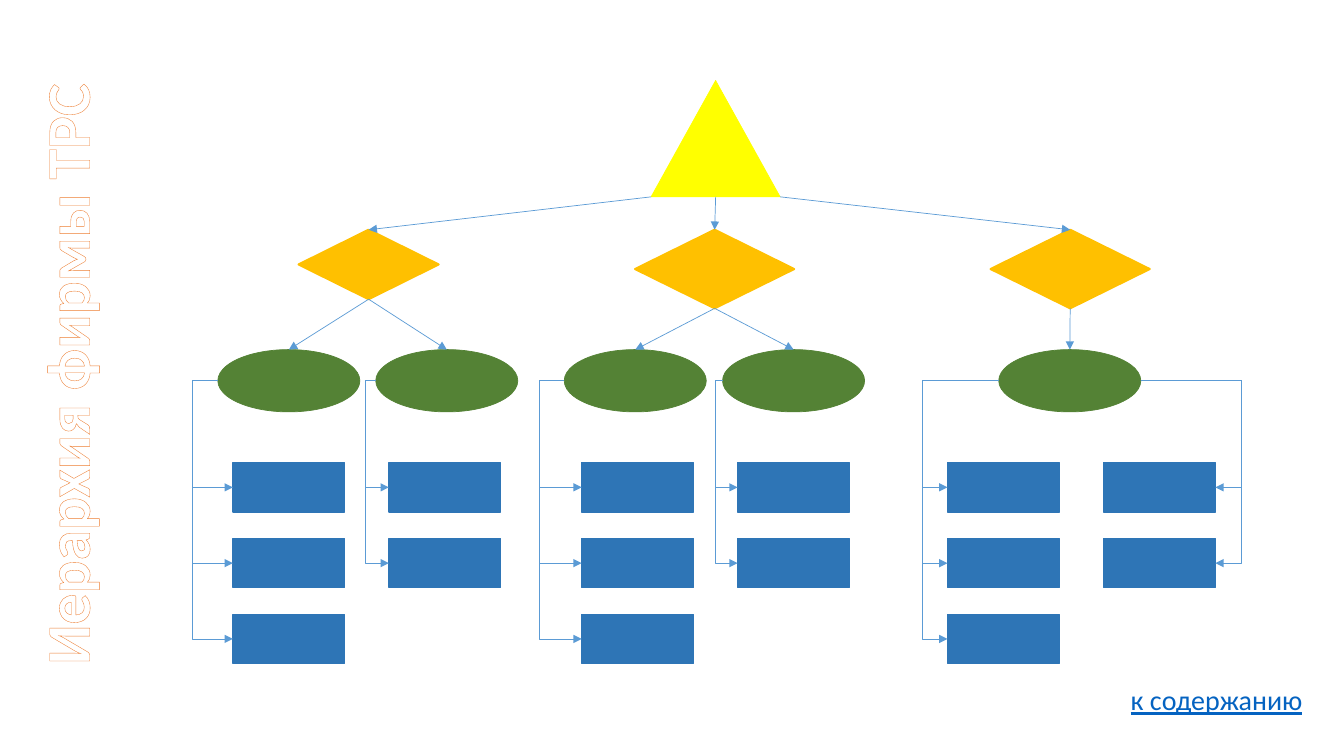
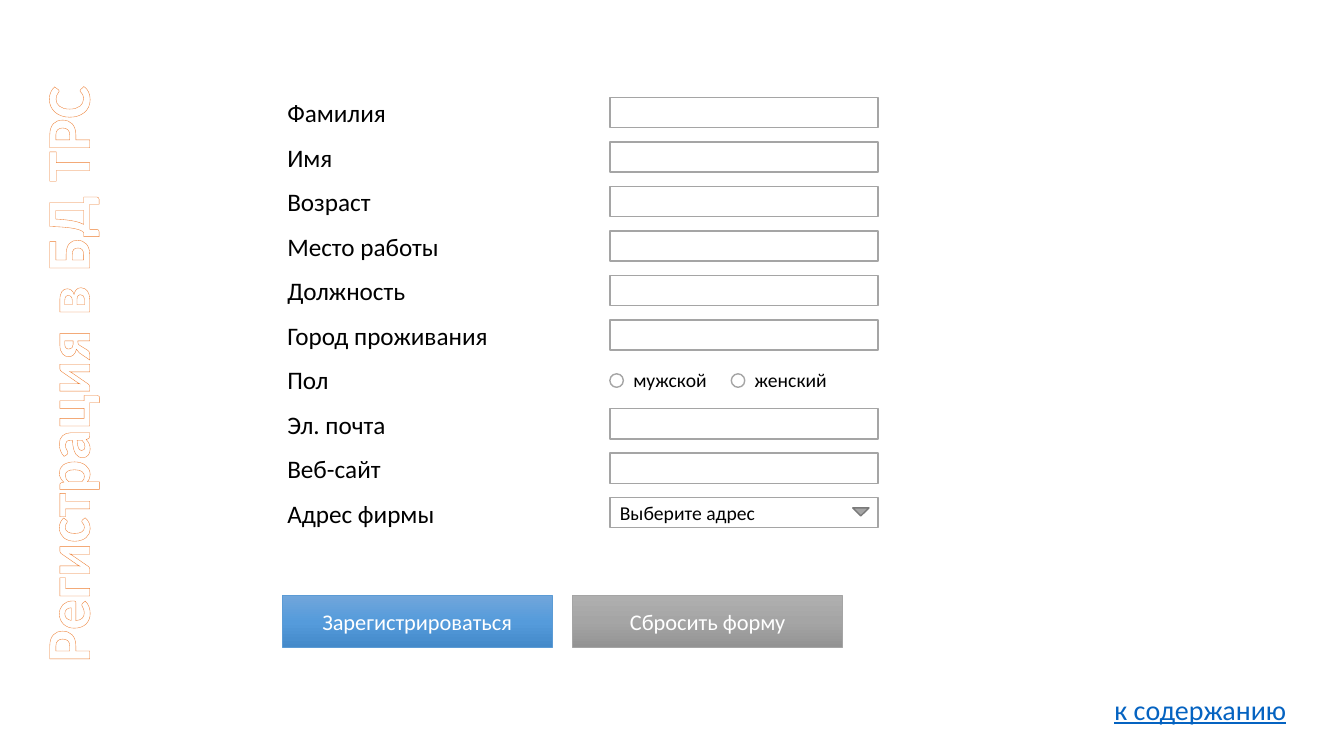
from lxml.etree import SubElement
from pptx import Presentation
from pptx.dml.color import RGBColor
from pptx.enum.shapes import MSO_CONNECTOR as CONN, MSO_SHAPE as SHAPE
from pptx.enum.text import MSO_ANCHOR, PP_ALIGN
from pptx.oxml.ns import qn
from pptx.util import Cm, Pt

# Shared look
FONT = "Calibri"
WHITE, BLACK, GREY, DARK_GREY = "FFFFFF", "000000", "A5A5A5", "7A7A7A"
BLUE, ORANGE, LINK = "5B9BD5", "ED7D31", "0563C1"
YELLOW, AMBER, GREEN, NAVY = "FFFF00", "FFC000", "548235", "2E75B6"
LINK_TEXT = "к содержанию"

# Hierarchy: (centre, width, height, teams); team: (left, branches);
# branch: (left of boxes, x of trunk, number of boxes). Lengths in cm.
HIERARCHY_TITLE = "Иерархия фирмы ТРС"
APEX = (16.41, 2.03, 3.25, 2.93)
DEPARTMENTS = [
    (9.29, 3.53, 1.75, [(5.49, [(5.87, 4.85, 3)]), (9.47, [(9.8, 9.22, 2)])]),
    (18.01, 4.01, 1.98, [(14.22, [(14.66, 13.59, 3)]), (18.21, [(18.59, 18.03, 2)])]),
    (26.97, 4.01, 1.98, [(25.17, [(23.88, 23.24, 3), (27.81, 31.29, 2)])]),
]
DEPT_TOP = 5.79
TEAM_TOP, TEAM_W, TEAM_H = 8.81, 3.58, 1.57
BOX_TOP, BOX_W, BOX_H, BOX_STEP = 11.66, 2.82, 1.24, 1.91

# Registration form: (label, kind of input)
FORM_TITLE = "Регистрация в БД ТРС"
FIELDS = [
    ("Фамилия", "text"), ("Имя", "text"), ("Возраст", "text"),
    ("Место работы", "text"), ("Должность", "text"),
    ("Город проживания", "text"), ("Пол", "radio"), ("Эл. почта", "text"),
    ("Веб-сайт", "text"), ("Адрес фирмы", "list"),
]
GENDERS = ["мужской", "женский"]
PROMPT = "Выберите адрес"
BUTTONS = [
    ("Зарегистрироваться", ["71A6DB", "559BDB", "448ACA"], BLUE),
    ("Сбросить форму", ["AFAFAF", "A5A5A5", "939393"], GREY),
]
LABEL_X, FIELD_X, FIELD_W, FIELD_H = 6.99, 15.37, 6.76, 0.76
FIELD_TOP, ROW_STEP = 2.46, 1.12
RADIO_STEP, RADIO_SIZE = 3.06, 0.34
BUTTON_X, BUTTON_TOP, BUTTON_W, BUTTON_H, BUTTON_STEP = 7.11, 15.01, 6.81, 1.3, 7.32


def rgb(value):
    return RGBColor.from_string(value)


def add_run(tf, text, size, color, align=PP_ALIGN.LEFT):
    p = tf.paragraphs[0]
    p.alignment = align
    r = p.add_run()
    r.text = text
    r.font.name, r.font.size = FONT, Pt(size)
    r.font.color.rgb = rgb(color)
    return r


def add_text(slide, text, x, y, w, h, size, color=BLACK, align=PP_ALIGN.LEFT, wrap=True):
    sp = slide.shapes.add_textbox(Cm(x), Cm(y), Cm(w), Cm(h))
    sp.text_frame.word_wrap = wrap
    return sp, add_run(sp.text_frame, text, size, color, align)


def add_box(slide, kind, x, y, w, h, fill, line, weight):
    sp = slide.shapes.add_shape(kind, Cm(x), Cm(y), Cm(w), Cm(h))
    sp.shadow.inherit = False
    sp.fill.solid()
    sp.fill.fore_color.rgb = rgb(fill)
    sp.line.color.rgb = rgb(line)
    sp.line.width = Pt(weight)
    sp.text_frame.vertical_anchor = MSO_ANCHOR.MIDDLE
    return sp


def add_arrow(slide, kind, x1, y1, x2, y2):
    arrow = slide.shapes.add_connector(kind, Cm(x1), Cm(y1), Cm(x2), Cm(y2))
    arrow.line.color.rgb = rgb(BLUE)
    arrow.line.width = Pt(0.5)
    props = arrow._element.spPr
    SubElement(props.find(qn("a:ln")), qn("a:tailEnd"), type="triangle")
    SubElement(props, qn("a:effectLst"))
    return arrow


def add_elbow(slide, x1, y1, x2, y2, trunk):
    """Run sideways to the trunk, down it, then across to the end."""
    arrow = add_arrow(slide, CONN.ELBOW, x1, y1, x2, y2)
    geom = arrow._element.spPr.find(qn("a:prstGeom"))
    guides = geom.find(qn("a:avLst"))
    if guides is None:
        guides = SubElement(geom, qn("a:avLst"))
    bend = round((trunk - x1) / (x2 - x1) * 100000)
    SubElement(guides, qn("a:gd"), name="adj1", fmla=f"val {bend}")


def set_gradient(sp, colors):
    sp.fill.gradient()
    sp.fill.gradient_angle = 270
    stops = sp._element.spPr.find(qn("a:gradFill")).find(qn("a:gsLst"))
    stops.clear()
    for i, color in enumerate(colors):
        stop = SubElement(stops, qn("a:gs"), pos=str(i * 100000 // (len(colors) - 1)))
        SubElement(stop, qn("a:srgbClr"), val=color)


def new_slide(prs, title, link_x, link_y):
    slide = prs.slides.add_slide(prs.slide_layouts[6])
    # Upright outlined title
    sp, r = add_text(slide, title, -5.95, 8.36, 15.2, 2.13, 44, WHITE,
                     PP_ALIGN.CENTER, wrap=False)
    sp.rotation = 270
    r.font.bold = True
    props = r.font._element
    outline = SubElement(props, qn("a:ln"), w="6600")
    SubElement(SubElement(outline, qn("a:solidFill")), qn("a:srgbClr"), val=ORANGE)
    props.insert(0, outline)
    # Contents label
    _, r = add_text(slide, LINK_TEXT, link_x, link_y, 4.88, 1.12, 20, LINK,
                    PP_ALIGN.CENTER, wrap=False)
    r.font.underline = True
    return slide


def add_branch(slide, team_x, box_x, trunk, count):
    from_left = trunk < box_x
    start_x = team_x if from_left else team_x + TEAM_W
    end_x = box_x if from_left else box_x + BOX_W
    for i in range(count):
        y = BOX_TOP + i * BOX_STEP
        add_box(slide, SHAPE.RECTANGLE, box_x, y, BOX_W, BOX_H, NAVY, NAVY, 1)
        add_elbow(slide, start_x, TEAM_TOP + TEAM_H / 2, end_x, y + BOX_H / 2, trunk)


def build_hierarchy(prs):
    slide = new_slide(prs, HIERARCHY_TITLE, 28.22, 17.07)
    add_box(slide, SHAPE.ISOSCELES_TRIANGLE, *APEX, YELLOW, YELLOW, 0.5)
    apex_x, apex_y, apex_w, apex_h = APEX
    for i, (centre, w, h, teams) in enumerate(DEPARTMENTS):
        dept = add_box(slide, SHAPE.DIAMOND, centre - w / 2, DEPT_TOP, w, h,
                       AMBER, AMBER, 1.5)
        # Arrows leave the base at its left, middle and right
        arrow = add_arrow(slide, CONN.STRAIGHT, apex_x + apex_w * i / 2,
                          apex_y + apex_h, centre, DEPT_TOP)
        arrow.end_connect(dept, 0)
        for team_x, branches in teams:
            team = add_box(slide, SHAPE.OVAL, team_x, TEAM_TOP, TEAM_W, TEAM_H,
                           GREEN, GREEN, 0.5)
            arrow = add_arrow(slide, CONN.STRAIGHT, centre, DEPT_TOP + h,
                              team_x + TEAM_W / 2, TEAM_TOP)
            arrow.begin_connect(dept, 2)
            arrow.end_connect(team, 0)
            for branch in branches:
                add_branch(slide, team_x, *branch)


def build_form(prs):
    slide = new_slide(prs, FORM_TITLE, 27.81, 17.32)
    for i, (label, kind) in enumerate(FIELDS):
        y = FIELD_TOP + i * ROW_STEP
        add_text(slide, label, LABEL_X, y - 0.12, 7, 1.02, 18)
        if kind == "radio":
            for j, gender in enumerate(GENDERS):
                x = FIELD_X + j * RADIO_STEP
                add_box(slide, SHAPE.OVAL, x, y + 0.24, RADIO_SIZE, RADIO_SIZE,
                        WHITE, GREY, 1)
                add_text(slide, gender, x + RADIO_SIZE, y - 0.04, 2.6, 0.86, 14)
            continue
        field = add_box(slide, SHAPE.RECTANGLE, FIELD_X, y, FIELD_W, FIELD_H,
                        WHITE, GREY, 1)
        if kind == "list":
            add_run(field.text_frame, PROMPT, 14, BLACK)
            add_box(slide, SHAPE.FLOWCHART_MERGE, 21.49, y + 0.26, 0.41, 0.2,
                    GREY, DARK_GREY, 1)
    # Buttons
    for i, (caption, colors, line) in enumerate(BUTTONS):
        button = add_box(slide, SHAPE.RECTANGLE, BUTTON_X + i * BUTTON_STEP, BUTTON_TOP,
                         BUTTON_W, BUTTON_H, line, line, 0.5)
        set_gradient(button, colors)
        add_run(button.text_frame, caption, 16, WHITE, PP_ALIGN.CENTER)


def main():
    prs = Presentation()
    prs.slide_width, prs.slide_height = Cm(33.87), Cm(19.05)
    build_hierarchy(prs)
    build_form(prs)
    prs.save("out.pptx")


if __name__ == "__main__":
    main()
